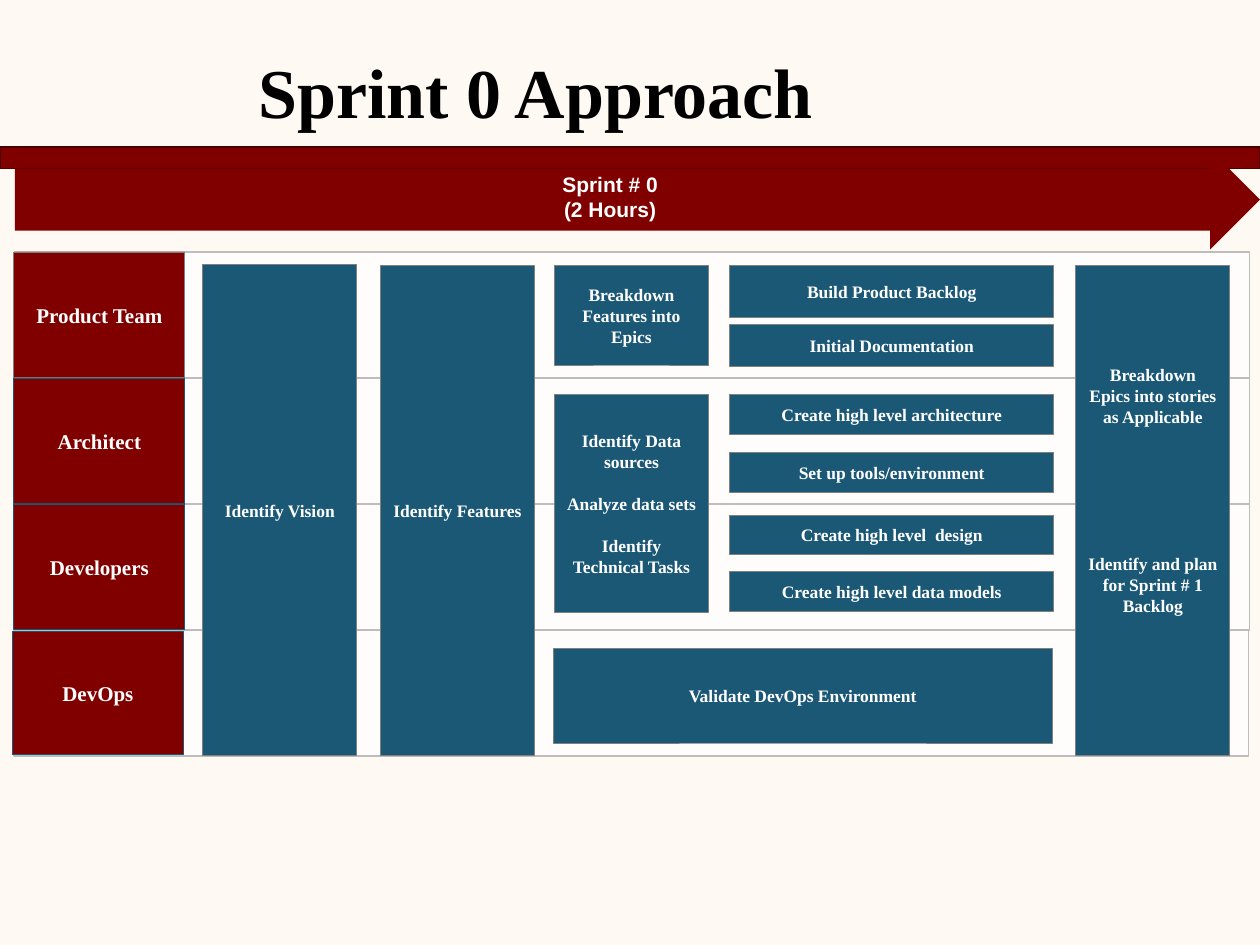
"""Build the Sprint 0 approach slide."""
import pptx
import pptx.util
import pptx.dml.color
import pptx.enum.shapes
import pptx.enum.text
import pptx.oxml
import pptx.oxml.ns

Cm, Pt = pptx.util.Cm, pptx.util.Pt
KIND = pptx.enum.shapes.MSO_SHAPE
MID = pptx.enum.text.MSO_ANCHOR.MIDDLE
CENTER = pptx.enum.text.PP_ALIGN.CENTER
SERIF = "Times New Roman"
RED, BLUE, GREY, WHITE = "800000", "1B5876", "808080", "FFFFFF"
NS = pptx.oxml.ns.nsdecls("a")

TITLE = "Sprint 0 Approach"
ROLES = ["Product Team", "Architect", "Developers", "DevOps"]
SPRINT = "Sprint # 0\n(2 Hours)"
ROW_TOP, ROW_STEP = 5.08, 2.54
TOP, TALL, SLIM, WIDE = 5.36, 9.88, 3.1, 6.53
CARDS = [
    ("Identify Vision", 4.09, 5.33, SLIM, 9.91),
    ("Identify Features", 7.67, TOP, SLIM, TALL),
    ("Breakdown Features into Epics", 11.18, TOP, SLIM, 2),
    ("Validate DevOps Environment", 11.15, 13.08, 10.06, 1.9),
]
DATA = ("Identify Data sources\nAnalyze data sets\nIdentify Technical Tasks",
        11.18, 7.95, SLIM, 4.39)
PLAN = ("Breakdown Epics into stories as Applicable\n"
        "Identify and plan for Sprint # 1 Backlog", 21.69, TOP, SLIM, TALL)
TASKS = [
    ("Build Product Backlog", TOP, 1.04),
    ("Initial Documentation", 6.55, 0.84),
    ("Create high level architecture", 7.95, 0.81),
    ("Set up tools/environment", 9.12, 0.81),
    ("Create high level  design", 10.39, 0.79),
    ("Create high level data models", 11.53, 0.79),
]


def color(code):
    """Turn a hex string into a colour."""
    return pptx.dml.color.RGBColor.from_string(code)


def write(shape, text, size, font=SERIF, ink=WHITE, gap=0):
    """Set centred bold text, with a gap between paragraphs."""
    frame = shape.text_frame
    frame.text = text
    frame.vertical_anchor = MID
    for num, par in enumerate(frame.paragraphs):
        par.alignment = CENTER
        par.space_before = Pt(gap if num else 0)
        for run in par.runs:
            run.font.name, run.font.size, run.font.bold = font, Pt(size), True
            run.font.color.rgb = color(ink)


def block(x, y, wide, high, fill, line=None, weight=0.5, kind=KIND.RECTANGLE):
    """Add a flat filled shape."""
    shape = slide.shapes.add_shape(kind, Cm(x), Cm(y), Cm(wide), Cm(high))
    shape.shadow.inherit = False
    shape.fill.solid()
    shape.fill.fore_color.rgb = color(fill)
    if line:
        shape.line.color.rgb = color(line)
        shape.line.width = Pt(weight)
    else:
        shape.line.fill.background()
    return shape


def card(text, x, y, wide, high, gap=0):
    """Add a blue activity card."""
    shape = block(x, y, wide, high, BLUE, GREY)
    write(shape, text, 10, gap=gap)
    return shape


deck = pptx.Presentation()
deck.slide_width, deck.slide_height = Cm(25.4), Cm(19.05)
slide = deck.slides.add_slide(deck.slide_layouts[5])
slide.background.fill.solid()
slide.background.fill.fore_color.rgb = color("FFF9F3")

title = slide.shapes.title
title.left, title.top, title.width, title.height = Cm(1.09), Cm(0.53), Cm(19.41), Cm(2.57)
write(title, TITLE, 40, ink="000000")
title.text_frame.margin_top = title.text_frame.margin_bottom = 0
shade = pptx.oxml.parse_xml(
    f'<a:effectLst {NS}><a:outerShdw dist="25400" dir="2700000">'
    '<a:srgbClr val="CC6600"/></a:outerShdw></a:effectLst>')
title.text_frame.paragraphs[0].runs[0].font.fill._xPr.find(
    pptx.oxml.ns.qn("a:solidFill")).addnext(shade)

block(0, 2.97, 25.4, 0.43, RED, "4C0000", 1)

for num in range(len(ROLES)):
    x = 0.28 if num == len(ROLES) - 1 else 0.3
    lane = block(x, ROW_TOP + num * ROW_STEP, 24.89, ROW_STEP, WHITE, "BDBDBD", 1)
    tint = lane.fill._xPr.find(".//" + pptx.oxml.ns.qn("a:srgbClr"))
    tint.append(pptx.oxml.parse_xml(f'<a:alpha {NS} val="77000"/>'))

for num, role in enumerate(ROLES):
    last = num == len(ROLES) - 1
    head = block(0.25 if last else 0.28, ROW_TOP + num * ROW_STEP + 0.03 * last,
                 3.45, ROW_STEP - 0.05 * last, RED, BLUE if num else GREY)
    write(head, role, 12)

for item in CARDS:
    card(*item)
card(*DATA, gap=12)
card(*PLAN, gap=72).text_frame.margin_bottom = Cm(0.97)
for text, y, high in TASKS:
    card(text, 14.71, y, WIDE, high)

arrow = block(0.3, 3.02, 25.1, 2.01, RED, kind=KIND.RIGHT_ARROW)
arrow.adjustments[0], arrow.adjustments[1] = 0.62, 0.5
label = slide.shapes.add_textbox(Cm(11.07), Cm(3.33), Cm(2.46), Cm(1.27))
label.text_frame.word_wrap = False
write(label, SPRINT, 12, font="Arial")

deck.save("out.pptx")
